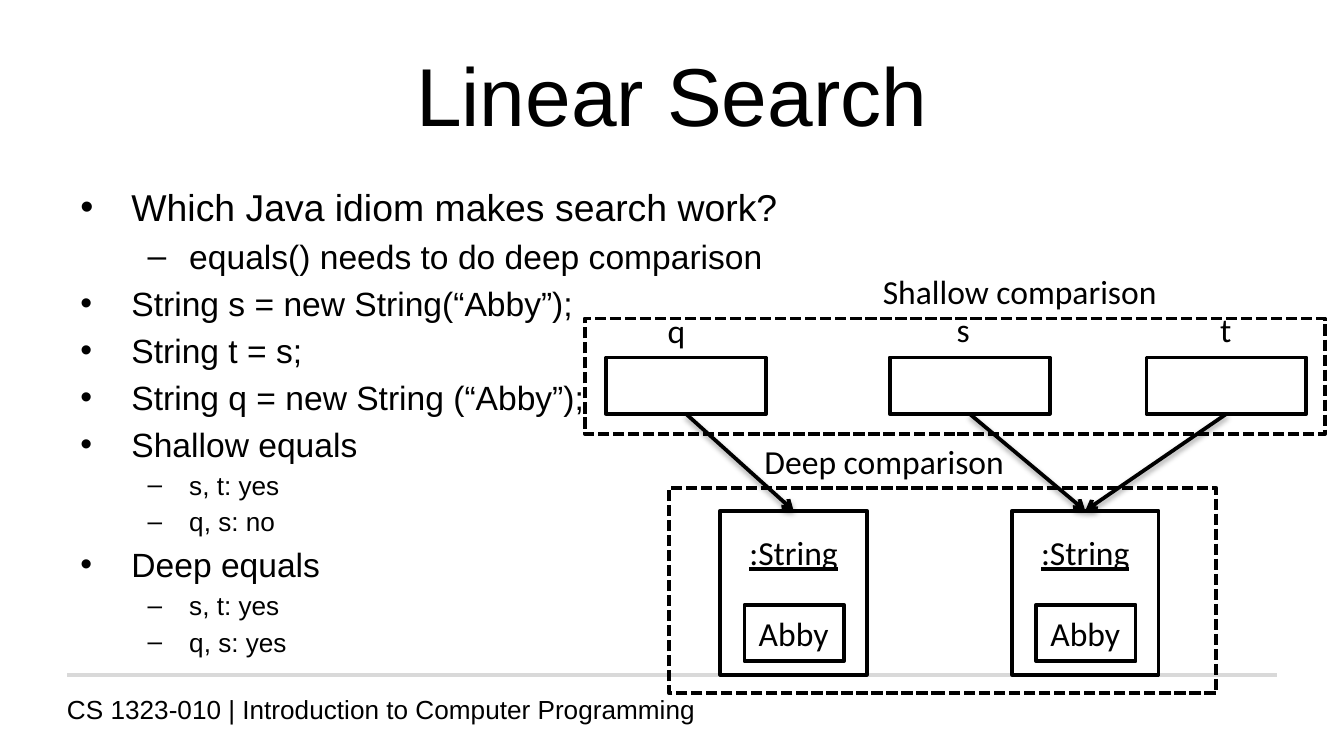
import pptx
import pptx.util
import pptx.dml.color
import pptx.enum.dml
import pptx.enum.shapes
import pptx.enum.text
import pptx.oxml
import pptx.oxml.ns
from lxml import etree

Inches, Pt = pptx.util.Inches, pptx.util.Pt
PP_ALIGN = pptx.enum.text.PP_ALIGN
MIDDLE = pptx.enum.text.MSO_ANCHOR.MIDDLE

BLACK, WHITE, GREY = "000000", "FFFFFF", "D9D9D9"
ARIAL, CALIBRI = "Arial", "Calibri"

# level: bullet, left margin, hanging indent
BULLETS = {0: ("•", 0.38, 0.38), 1: ("–", 0.81, 0.31)}
BODY = [  # level, size, text
    (0, 20, "Which Java idiom makes search work?"),
    (1, 18, "equals() needs to do deep comparison"),
    (0, 18, "String s = new String(“Abby”);"),
    (0, 18, "String t = s;"),
    (0, 18, "String q = new String (“Abby”);"),
    (0, 18, "Shallow equals"),
    (1, 14, "s, t: yes"),
    (1, 14, "q, s: no"),
    (0, 18, "Deep equals"),
    (1, 14, "s, t: yes"),
    (1, 14, "q, s: yes"),
]
# name, box left, label left, label top, index of the object it refers to
VARIABLES = [("q", 0.16, 0.52, 0.29, 0),
             ("s", 2.27, 2.67, 0.28, 1),
             ("t", 4.18, 4.63, 0.28, 1)]
OBJECT_LEFTS = [1.01, 3.18]


def color(value):
    return pptx.dml.color.RGBColor.from_string(value)


def set_attrs(target, values):
    for name, value in values.items():
        setattr(target, name, value)


def write(p, text, size, name, **fmt):
    r = p.add_run()
    r.text = text
    set_attrs(r.font, {"size": Pt(size), "name": name, **fmt})
    r.font.color.rgb = color(BLACK)


def add_text(s, x, y, w, h, wrap=True):
    sp = s.shapes.add_textbox(Inches(x), Inches(y), Inches(w), Inches(h))
    sp.text_frame.word_wrap = wrap
    return sp.text_frame


def add_label(s, text, x, y, w):
    write(add_text(s, x, y, w, 0.4, wrap=False).paragraphs[0], text, 18, CALIBRI)


def add_box(s, x, y, w, h, fill=None, dashed=False):
    sp = s.shapes.add_shape(pptx.enum.shapes.MSO_SHAPE.RECTANGLE,
                            Inches(x), Inches(y), Inches(w), Inches(h))
    sp.shadow.inherit = False
    if fill:
        sp.fill.solid()
        sp.fill.fore_color.rgb = color(fill)
    else:
        sp.fill.background()
    sp.line.color.rgb = color(BLACK)
    sp.line.width = Pt(2)
    if dashed:
        sp.line.dash_style = pptx.enum.dml.MSO_LINE.SQUARE_DOT
    return sp


def add_line(s, x1, y1, x2, y2, rgb):
    line = s.shapes.add_connector(pptx.enum.shapes.MSO_CONNECTOR.STRAIGHT,
                                  Inches(x1), Inches(y1), Inches(x2), Inches(y2))
    line.line.color.rgb = color(rgb)
    line.line.width = Pt(2)
    effects = etree.SubElement(line._element.spPr, pptx.oxml.ns.qn("a:effectLst"))
    return line, effects


def add_arrow(s, x1, y1, x2, y2):
    """Line with an open arrowhead and a soft shadow below it."""
    qn = pptx.oxml.ns.qn
    line, effects = add_line(s, x1, y1, x2, y2, BLACK)
    etree.SubElement(line.line._get_or_add_ln(), qn("a:tailEnd"), type="arrow")
    shadow = etree.SubElement(effects, qn("a:outerShdw"), blurRad=str(Pt(3.1)),
                              dist=str(Pt(1.6)), dir="5400000", rotWithShape="0")
    rgb = etree.SubElement(shadow, qn("a:srgbClr"), val=BLACK)
    etree.SubElement(rgb, qn("a:alpha"), val="38000")


def add_footer(s, x, y, w):
    tf = add_text(s, x - 0.1, y + 0.09, w, 0.21)
    write(tf.paragraphs[0], "CS 1323-010 | Introduction to Computer Programming", 14, ARIAL)
    add_line(s, x, y, x + w, y, GREY)


def add_title(s, x, y, w, h):
    tf = add_text(s, x, y, w, h)
    tf.vertical_anchor = MIDDLE
    p = tf.paragraphs[0]
    p.alignment = PP_ALIGN.CENTER
    write(p, "Linear Search", 44, ARIAL)


def add_bullets(s, x, y, w, h):
    tf = add_text(s, x, y, w, h)
    for i, (level, size, text) in enumerate(BODY):
        p = tf.add_paragraph() if i else tf.paragraphs[0]
        char, margin, hang = BULLETS[level]
        p.level = level
        if i:
            p.space_before = Pt(size * 0.2)
        pPr = p._p.get_or_add_pPr()
        pPr.set("marL", str(Inches(margin)))
        pPr.set("indent", str(-Inches(hang)))
        etree.SubElement(pPr, pptx.oxml.ns.qn("a:buFont"), typeface=ARIAL)
        etree.SubElement(pPr, pptx.oxml.ns.qn("a:buChar"), char=char)
        write(p, text, size, ARIAL)


def add_string_object(s, x, y, w, h):
    tf = add_box(s, x, y, w, h, WHITE).text_frame
    tf.vertical_anchor = MIDDLE
    head, value = tf.paragraphs[0], tf.add_paragraph()
    head.alignment = value.alignment = PP_ALIGN.CENTER
    value.space_before = Pt(22)
    write(head, ":String", 18, CALIBRI, underline=True)
    write(value, "Abby", 18, CALIBRI)
    add_box(s, x + 0.18, y + 0.7, 0.74, 0.42)


def add_diagram(s, x, y):
    """References in the upper dashed frame, String objects in the lower one."""
    var_y, var_w, var_h = y + 0.69, 1.19, 0.42
    obj_y, obj_w, obj_h = y + 1.83, 1.09, 1.22
    for left in OBJECT_LEFTS:
        add_string_object(s, x + left, obj_y, obj_w, obj_h)
    for name, left, label_left, label_top, target in VARIABLES:
        add_box(s, x + left, var_y, var_w, var_h, WHITE)
        add_label(s, name, x + label_left, y + label_top, 0.3)
        add_arrow(s, x + left + var_w / 2, var_y + var_h,
                  x + OBJECT_LEFTS[target] + obj_w / 2, obj_y)
    add_box(s, x, y + 0.4, 5.51, 0.86, dashed=True)
    add_label(s, "Shallow comparison", x + 2.12, y, 2.26)
    add_box(s, x + 0.63, y + 1.66, 4.07, 1.53, dashed=True)
    add_label(s, "Deep comparison", x + 1.24, y + 1.26, 2)


def main():
    prs = pptx.Presentation()
    prs.slide_width = Inches(10)
    prs.slide_height = prs.slide_width * 9 // 16
    s = prs.slides.add_slide(prs.slide_layouts[6])
    add_footer(s, 0.5, 5.02, 9)
    add_title(s, 0.5, 0.23, 9, 0.94)
    add_bullets(s, 0.5, 1.32, 9, 3.7)
    add_diagram(s, 4.35, 1.97)
    prs.save("out.pptx")


if __name__ == "__main__":
    main()
